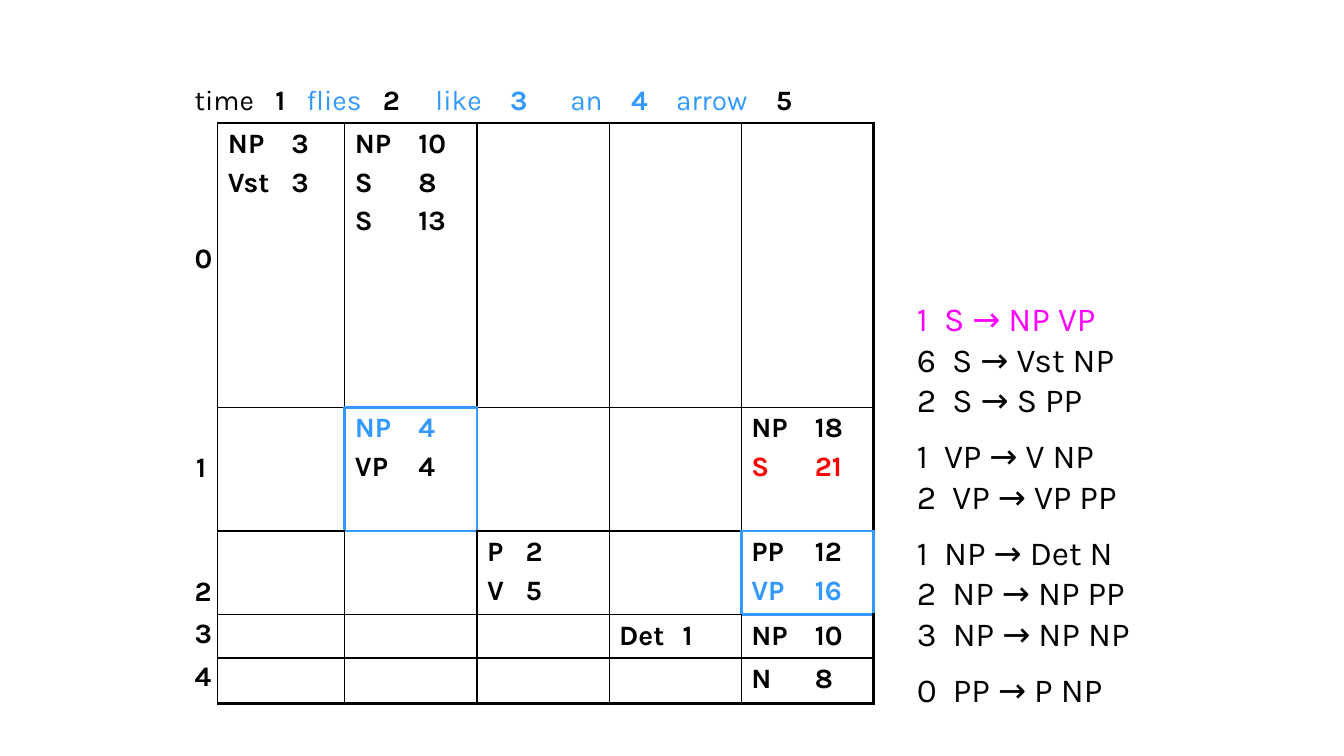
import pptx
import pptx.dml.color
import pptx.enum.text
import pptx.oxml
import pptx.oxml.ns
import pptx.util

Cm, Pt = pptx.util.Cm, pptx.util.Pt
RGBColor = pptx.dml.color.RGBColor

BLACK = RGBColor(0x00, 0x00, 0x00)
BLUE = RGBColor(0x33, 0x99, 0xFF)
RED = RGBColor(0xFF, 0x00, 0x00)
MAGENTA = RGBColor(0xFF, 0x00, 0xFF)
FONT = "Karla"
NO_STYLE = "{2D5ABB26-0587-4C30-8999-92F81FD0307C}"

# (text, bold, colour)
SENTENCE = [
    ("time", False, BLACK), ("   1   ", True, BLACK),
    ("flies", False, BLUE), ("   2     ", True, BLACK),
    ("like", False, BLUE), ("    3      ", True, BLUE),
    ("an", False, BLUE), ("    4    ", True, BLUE),
    ("arrow", False, BLUE), ("    5", True, BLACK),
]

# (row label, line spacing)
ROW_LABELS = [("0", None), ("1", 2.2), ("2", 2.2), ("3", 0.9), ("4", 0.9)]

# (row, column): [(category, weight, colour)]
CHART = {
    (1, 1): [("NP", 3, BLACK), ("Vst", 3, BLACK)],
    (1, 2): [("NP", 10, BLACK), ("S", 8, BLACK), ("S", 13, BLACK)],
    (2, 2): [("NP", 4, BLUE), ("VP", 4, BLACK)],
    (2, 5): [("NP", 18, BLACK), ("S", 21, RED)],
    (3, 3): [("P", 2, BLACK), ("V", 5, BLACK)],
    (3, 5): [("PP", 12, BLACK), ("VP", 16, BLUE)],
    (4, 4): [("Det", 1, BLACK)],
    (4, 5): [("NP", 10, BLACK)],
    (5, 5): [("N", 8, BLACK)],
}
HIGHLIGHTED = {(2, 2), (3, 5)}

# (rule, colour, line spacing)
GRAMMAR = [
    ("1  S → NP VP", MAGENTA, None),
    ("6  S → Vst NP", BLACK, None),
    ("2  S → S PP", BLACK, None),
    ("1  VP → V NP", BLACK, 1.4),
    ("2  VP → VP PP", BLACK, None),
    ("1  NP → Det N", BLACK, 1.4),
    ("2  NP → NP PP", BLACK, None),
    ("3  NP → NP NP", BLACK, None),
    ("0  PP → P NP", BLACK, 1.4),
]

COLUMN_WIDTHS = [0.84, 3.2] + [3.33] * 4
ROW_HEIGHTS = [1.09, 7.16, 3.12, 2.11, 1.09, 1.14]
LAST = 5
SIDES = {"L": (0, -1), "R": (0, 1), "T": (-1, 0), "B": (1, 0)}
TAB, NARROW_TAB = Cm(1.6), Cm(0.97)


def add_run(paragraph, text, size, bold, colour):
    run = paragraph.add_run()
    run.text = text
    run.font.color.rgb = colour
    for name, value in {"name": FONT, "size": Pt(size), "bold": bold}.items():
        setattr(run.font, name, value)


def next_paragraph(frame, first, **formats):
    paragraph = frame.paragraphs[0] if first else frame.add_paragraph()
    for name, value in formats.items():
        if value is not None:
            setattr(paragraph, name, value)
    return paragraph


def add_tab_stop(paragraph, position):
    paragraph._p.get_or_add_pPr().append(pptx.oxml.parse_xml(
        f'<a:tabLst {pptx.oxml.ns.nsdecls("a")}><a:tab pos="{position}" algn="l"/></a:tabLst>'))


def edge(row, column, side):
    """Return (colour, points) of one cell border, or None where nothing is drawn."""
    if row == 0 or (column == 0 and side != "R"):
        return None
    row_step, column_step = SIDES[side]
    neighbour = (row + row_step, column + column_step)
    if {(row, column), neighbour} & HIGHLIGHTED:
        return BLUE, 2.25
    return BLACK, 2.25 if max(neighbour) > LAST else 1


def draw_borders(cell, row, column):
    properties = cell._tc.get_or_add_tcPr()
    for side in SIDES:
        line = edge(row, column, side)
        if line:
            colour, width = line
            properties.append(pptx.oxml.parse_xml(
                f'<a:ln{side} {pptx.oxml.ns.nsdecls("a")} w="{Pt(width)}"><a:solidFill>'
                f'<a:srgbClr val="{colour}"/></a:solidFill></a:ln{side}>'))


def add_parse_table(slide):
    size = LAST + 1
    frame = slide.shapes.add_table(size, size, Cm(4.65), Cm(2.01),
                                   Cm(sum(COLUMN_WIDTHS)), Cm(sum(ROW_HEIGHTS)))
    table = frame.table
    table.first_row = table.horz_banding = False
    table._tbl.tblPr.find(pptx.oxml.ns.qn("a:tableStyleId")).text = NO_STYLE
    for column, width in zip(table.columns, COLUMN_WIDTHS):
        column.width = Cm(width)
    for row, height in zip(table.rows, ROW_HEIGHTS):
        row.height = Cm(height)

    for row in range(size):
        for column in range(size):
            cell = table.cell(row, column)
            draw_borders(cell, row, column)
            cell.fill.background()
            for index, (category, weight, colour) in enumerate(CHART.get((row, column), [])):
                paragraph = next_paragraph(cell.text_frame, index == 0, space_before=Pt(4))
                add_tab_stop(paragraph, NARROW_TAB if column == 3 else TAB)
                add_run(paragraph, f"{category}\t{weight}", 20, True, colour)

    for row, (label, spacing) in enumerate(ROW_LABELS, start=1):
        paragraph = next_paragraph(table.cell(row, 0).text_frame, True, space_before=Pt(4),
                                   line_spacing=spacing,
                                   alignment=pptx.enum.text.PP_ALIGN.CENTER)
        add_run(paragraph, label, 20, True, BLACK)
    table.cell(1, 0).margin_top = Cm(3.02)
    table.cell(2, LAST).margin_bottom = Cm(1.09)

    table.cell(0, 0).merge(table.cell(0, LAST))
    paragraph = next_paragraph(table.cell(0, 0).text_frame, True, space_before=Pt(4))
    for text, bold, colour in SENTENCE:
        add_run(paragraph, text, 20, bold, colour)


def add_grammar(slide):
    box = slide.shapes.add_textbox(Cm(22.86), Cm(7.39), Cm(6.78), Cm(10.59))
    box.text_frame.word_wrap = True
    box.text_frame.auto_size = pptx.enum.text.MSO_AUTO_SIZE.SHAPE_TO_FIT_TEXT
    for index, (rule, colour, spacing) in enumerate(GRAMMAR):
        paragraph = next_paragraph(box.text_frame, index == 0, line_spacing=spacing)
        add_run(paragraph, rule, 24, False, colour)


def main():
    presentation = pptx.Presentation()
    presentation.slide_width, presentation.slide_height = Cm(33.87), Cm(19.05)
    slide = presentation.slides.add_slide(presentation.slide_layouts[6])
    add_parse_table(slide)
    add_grammar(slide)
    presentation.save("out.pptx")


if __name__ == "__main__":
    main()
